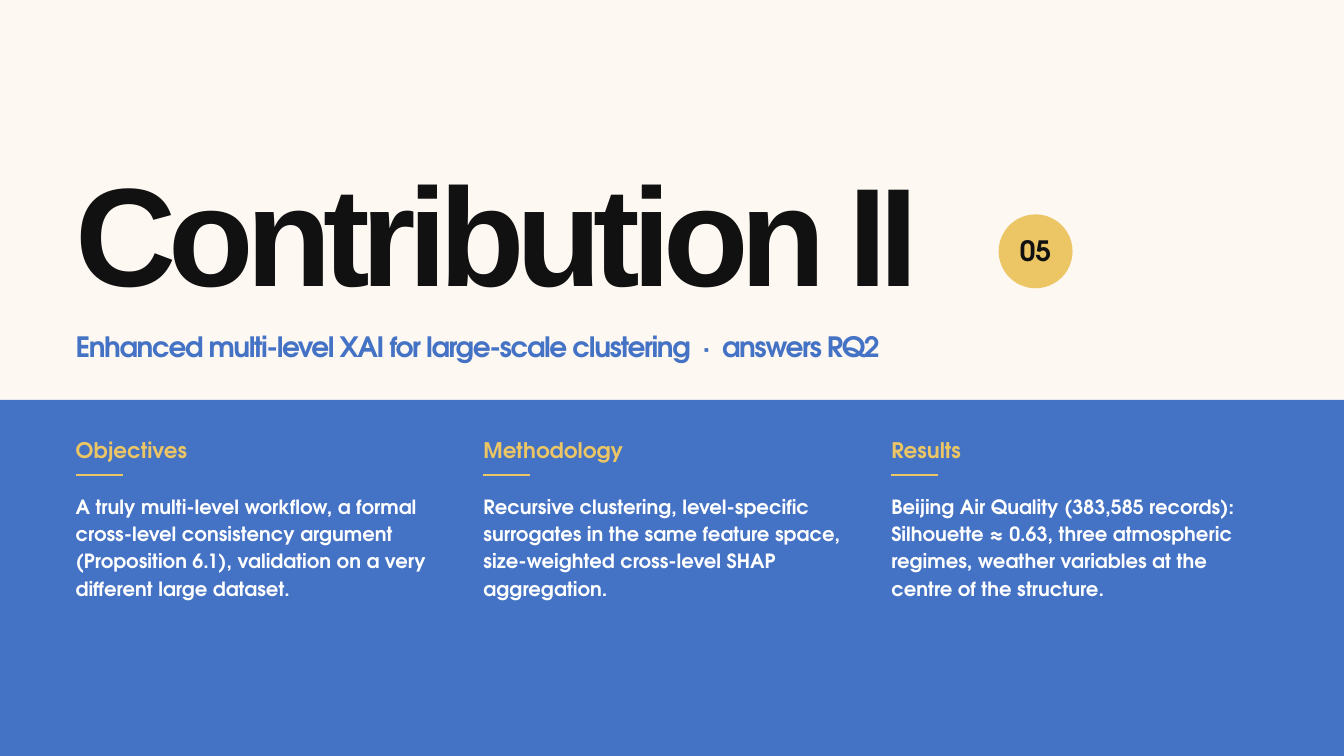
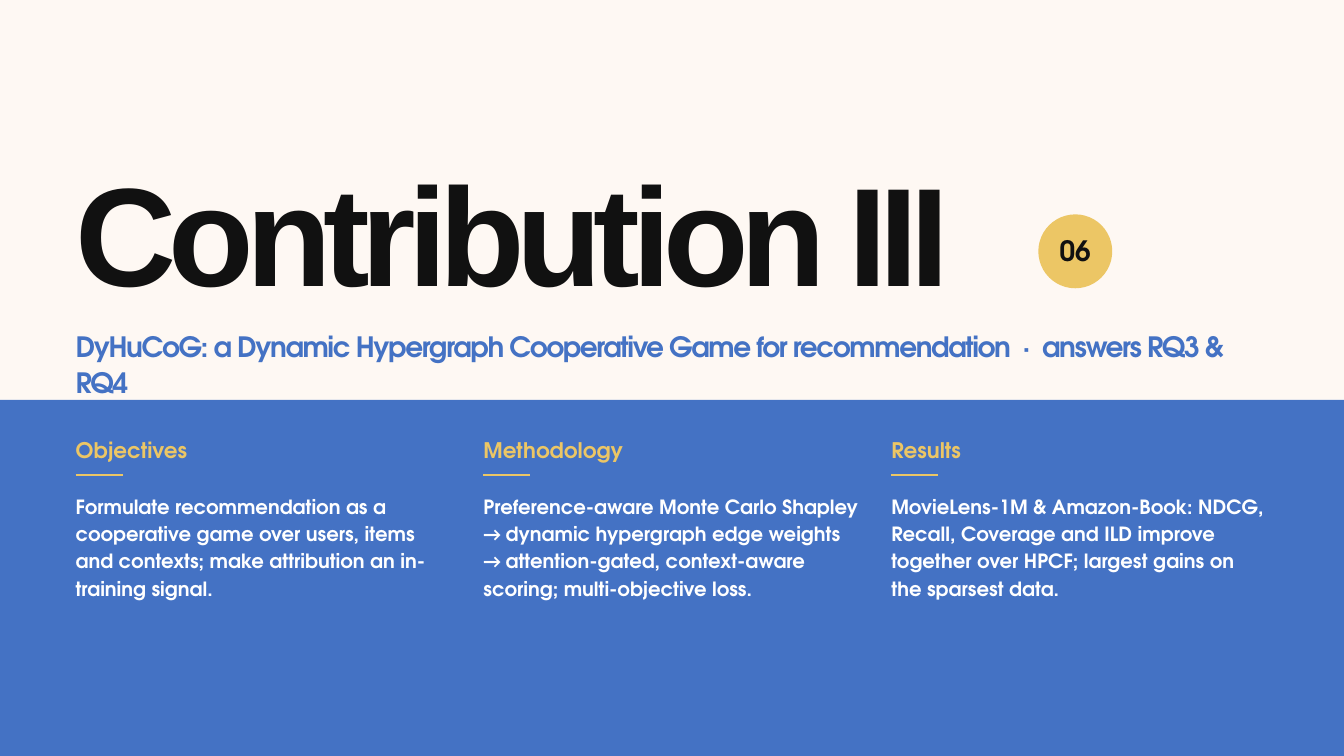
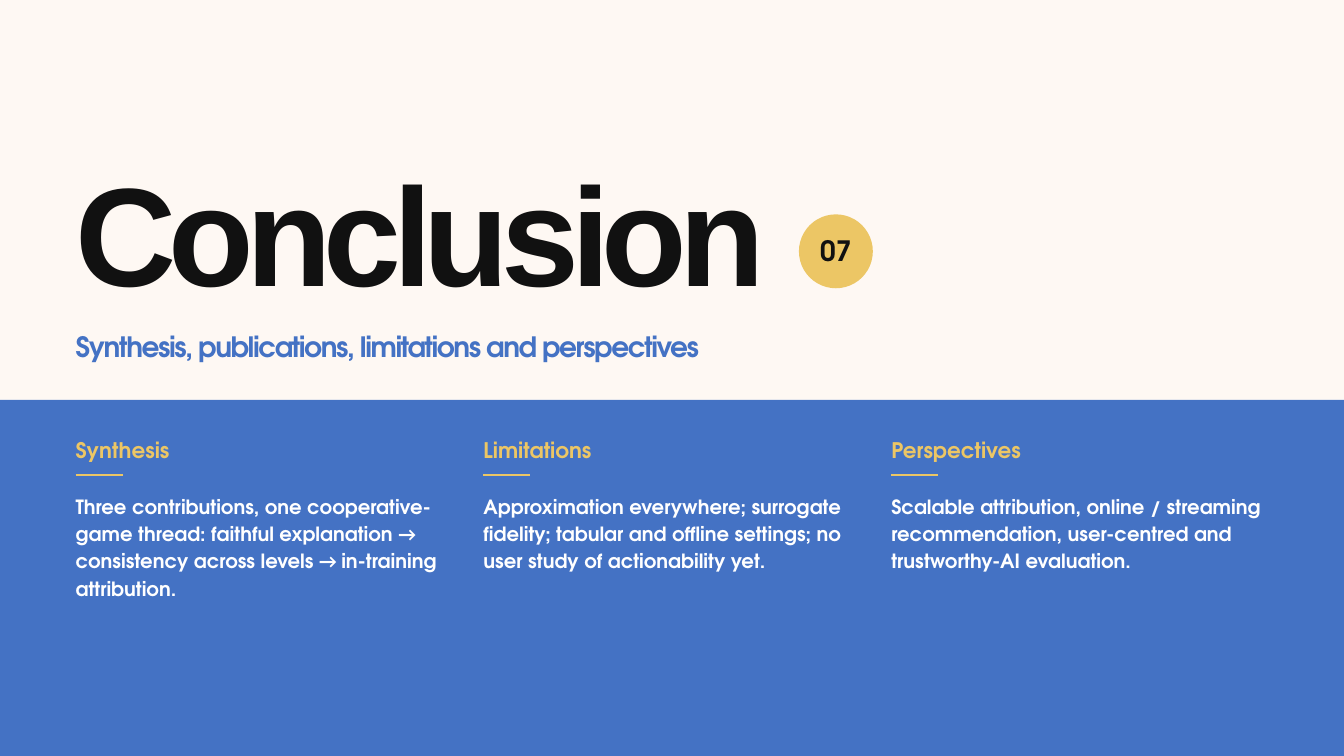
import pptx
import pptx.dml.color
import pptx.enum.shapes
import pptx.enum.text
import pptx.oxml
import pptx.oxml.ns
import pptx.util

Pt = pptx.util.Pt
ALIGN = pptx.enum.text.PP_ALIGN
ANCHOR = pptx.enum.text.MSO_ANCHOR
SHAPE = pptx.enum.shapes.MSO_SHAPE

SECTIONS = [
    {
        "number": "05",
        "badge_left": 1070,
        "title": "Contribution II",
        "subtitle": "Enhanced multi-level XAI for large-scale clustering  ·  answers RQ2",
        "columns": [
            ("Objectives", "A truly multi-level workflow, a formal cross-level consistency argument "
             "(Proposition 6.1), validation on a very different large dataset."),
            ("Methodology", "Recursive clustering, level-specific surrogates in the same feature space, "
             "size-weighted cross-level SHAP aggregation."),
            ("Results", "Beijing Air Quality (383,585 records): Silhouette ≈ 0.63, three atmospheric "
             "regimes, weather variables at the centre of the structure."),
        ],
    },
    {
        "number": "06",
        "badge_left": 1112.5,
        "title": "Contribution III",
        "subtitle": "DyHuCoG: a Dynamic Hypergraph Cooperative Game for recommendation  ·  answers RQ3 & RQ4",
        "columns": [
            ("Objectives", "Formulate recommendation as a cooperative game over users, items and contexts; "
             "make attribution an in-training signal."),
            ("Methodology", "Preference-aware Monte Carlo Shapley → dynamic hypergraph edge weights "
             "→ attention-gated, context-aware scoring; multi-objective loss."),
            ("Results", "MovieLens-1M & Amazon-Book: NDCG, Recall, Coverage and ILD improve together "
             "over HPCF; largest gains on the sparsest data."),
        ],
    },
    {
        "number": "07",
        "badge_left": 856,
        "title": "Conclusion",
        "subtitle": "Synthesis, publications, limitations and perspectives",
        "columns": [
            ("Synthesis", "Three contributions, one cooperative-game thread: faithful explanation "
             "→ consistency across levels → in-training attribution."),
            ("Limitations", "Approximation everywhere; surrogate fidelity; tabular and offline settings; "
             "no user study of actionability yet."),
            ("Perspectives", "Scalable attribution, online / streaming recommendation, user-centred and "
             "trustworthy-AI evaluation."),
        ],
    },
]

CREAM, BLUE, GOLD, INK, WHITE = "FEF8F3", "4472C4", "ECC665", "111111", "FFFFFF"
BODY_FONT, ARROW_FONT = "TeX Gyre Adventor", "Calibri"
ARROW = "→ "

STYLES = {
    "title": {"size": 150, "name": "Arial", "color": INK, "leading": 153, "tracking": -8.7},
    "badge": {"size": 30, "name": BODY_FONT, "color": INK, "leading": 34, "align": ALIGN.CENTER},
    "subtitle": {"size": 30, "name": BODY_FONT, "color": BLUE, "leading": 38, "tracking": -1.5},
    "heading": {"size": 23, "name": BODY_FONT, "color": GOLD, "leading": 28},
    "body": {"size": 21, "name": BODY_FONT, "color": WHITE, "leading": 29.4},
}

SLIDE_WIDTH, SLIDE_HEIGHT = 1440, 810
MARGIN = 81
BAND_TOP = 428.4
COLUMN_WIDTH, COLUMN_PITCH = 405, 437
HEADING_TOP, RULE_TOP, BODY_TOP = 468, 509, 525.6
RULE_LENGTH = 50.4
BADGE_TOP, BADGE_SIZE = 229.7, 79.2


def rgb(color):
    return pptx.dml.color.RGBColor.from_string(color)


def add_run(paragraph, text, style, font_name):
    run = paragraph.add_run()
    run.text = text
    values = {"size": Pt(style["size"]), "name": font_name, "bold": True}
    for attribute, value in values.items():
        setattr(run.font, attribute, value)
    run.font.color.rgb = rgb(style["color"])
    if "tracking" in style:
        run._r.get_or_add_rPr().set("spc", str(round(style["tracking"] * 100)))


def write_text(shape, text, style_name, anchor=ANCHOR.TOP):
    style = STYLES[style_name]
    frame = shape.text_frame
    frame_values = {
        "margin_left": 0, "margin_top": 0, "margin_right": 0, "margin_bottom": 0,
        "word_wrap": True, "auto_size": pptx.enum.text.MSO_AUTO_SIZE.NONE,
        "vertical_anchor": anchor,
    }
    for attribute, value in frame_values.items():
        setattr(frame, attribute, value)
    paragraph = frame.paragraphs[0]
    paragraph.alignment = style.get("align", ALIGN.LEFT)
    paragraph.line_spacing = Pt(style["leading"])
    for index, part in enumerate(text.split(ARROW)):
        if index:
            add_run(paragraph, ARROW, style, ARROW_FONT)
        add_run(paragraph, part, style, style["name"])


def add_text(slide, left, top, width, height, text, style_name):
    box = slide.shapes.add_textbox(Pt(left), Pt(top), Pt(width), Pt(height))
    write_text(box, text, style_name)


def add_filled_shape(slide, kind, left, top, width, height, color):
    shape = slide.shapes.add_shape(kind, Pt(left), Pt(top), Pt(width), Pt(height))
    shape.shadow.inherit = False
    shape.fill.solid()
    shape.fill.fore_color.rgb = rgb(color)
    shape.line.fill.background()
    return shape


def add_rule(slide, left):
    rule = slide.shapes.add_connector(
        pptx.enum.shapes.MSO_CONNECTOR.STRAIGHT,
        Pt(left), Pt(RULE_TOP), Pt(left + RULE_LENGTH), Pt(RULE_TOP))
    rule.line.color.rgb = rgb(GOLD)
    rule.line.width = Pt(2.5)
    effects = pptx.oxml.parse_xml("<a:effectLst %s/>" % pptx.oxml.ns.nsdecls("a"))
    rule._element.spPr.append(effects)


def add_title(slide, text):
    title = slide.shapes.title
    place = {"left": MARGIN, "top": 183.6, "width": 1170, "height": 180}
    for attribute, value in place.items():
        setattr(title, attribute, Pt(value))
    write_text(title, text, "title")


def add_column(slide, left, heading, body):
    add_text(slide, left, HEADING_TOP, COLUMN_WIDTH, 36, heading, "heading")
    add_rule(slide, left)
    add_text(slide, left, BODY_TOP, COLUMN_WIDTH, 245, body, "body")


def add_section(presentation, section):
    slide = presentation.slides.add_slide(presentation.slide_layouts[5])
    add_title(slide, section["title"])
    badge = add_filled_shape(slide, SHAPE.OVAL, section["badge_left"], BADGE_TOP,
                             BADGE_SIZE, BADGE_SIZE, GOLD)
    write_text(badge, section["number"], "badge", ANCHOR.MIDDLE)
    add_text(slide, MARGIN, 351.4, SLIDE_WIDTH - 2 * MARGIN, 50.4, section["subtitle"], "subtitle")
    add_filled_shape(slide, SHAPE.RECTANGLE, 0, BAND_TOP, SLIDE_WIDTH, SLIDE_HEIGHT - BAND_TOP, BLUE)
    for index, (heading, body) in enumerate(section["columns"]):
        add_column(slide, MARGIN + index * COLUMN_PITCH, heading, body)


def main():
    presentation = pptx.Presentation()
    presentation.slide_width = Pt(SLIDE_WIDTH)
    presentation.slide_height = Pt(SLIDE_HEIGHT)
    background = presentation.slide_master.background.fill
    background.solid()
    background.fore_color.rgb = rgb(CREAM)
    for section in SECTIONS:
        add_section(presentation, section)
    presentation.save("out.pptx")


if __name__ == "__main__":
    main()
